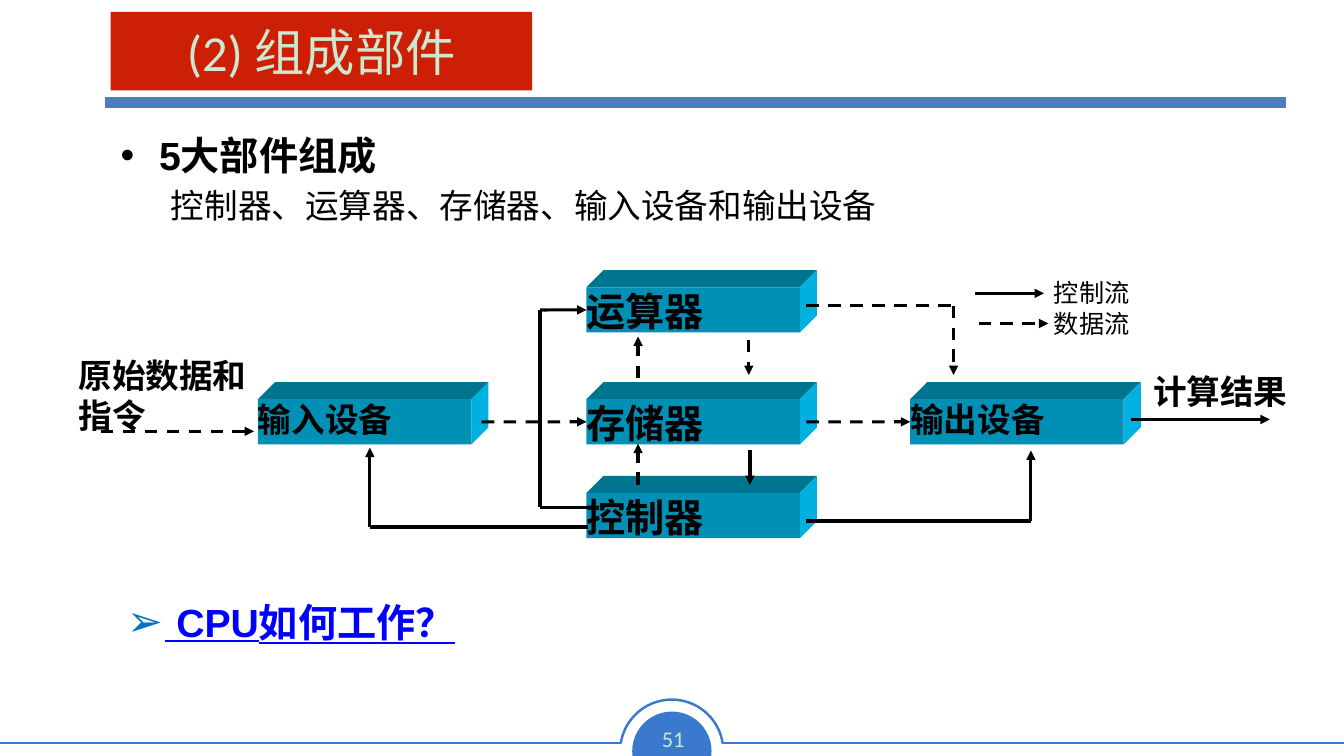
from dataclasses import dataclass
from typing import Optional

import pptx
import pptx.dml.color
import pptx.enum.dml
import pptx.enum.shapes
import pptx.enum.text
import pptx.oxml
import pptx.oxml.ns
import pptx.util
from pptx.util import Cm

SHAPE = pptx.enum.shapes.MSO_SHAPE
ALIGN = pptx.enum.text.PP_ALIGN
ANCHOR = pptx.enum.text.MSO_ANCHOR
BLACK, PALE, BLUE = "000000", "CCE8CF", "3B79CE"
FRONT, TOP, SIDE = "008FB5", "00758F", "00B0E0"
BOX_WIDTH, BOX_HEIGHT, BOX_DEPTH = 5.38, 1.14, 0.43


@dataclass
class Unit:
    name: str
    left: float
    top: float
    size: int = 28


@dataclass
class Flow:
    x1: float
    y1: float
    x2: float
    y2: float
    dashed: bool = False
    arrow: bool = True
    target: Optional[str] = None  # unit whose left side the flow enters


@dataclass
class Label:
    text: str
    left: float
    top: float
    width: float
    height: float
    size: int = 24
    bold: bool = True
    font: str = "Times New Roman"
    inset: tuple[float, float] = (0, 0)


COLUMN = 14.78
MIDDLE_ROW = 10.06
MIDDLE_Y = MIDDLE_ROW + BOX_HEIGHT / 2
ARITHMETIC_Y = 7.24 + BOX_HEIGHT / 2
UNITS = [
    Unit("运算器", COLUMN, 7.24),
    Unit("存储器", COLUMN, MIDDLE_ROW),
    Unit("控制器", COLUMN, 12.42),
    Unit("输出设备", 22.94, MIDDLE_ROW, 24),
    Unit("输入设备", 6.5, MIDDLE_ROW, 24),
]
FLOWS = [
    Flow(16.08, 9.53, 16.08, 8.48, dashed=True),
    Flow(18.87, 8.56, 18.87, 9.45, dashed=True),
    Flow(14.83, 13.28, 9.32, 13.28, arrow=False),
    Flow(9.32, 13.28, 9.32, 11.28),
    Flow(20.32, 13.13, 25.98, 13.13, arrow=False),
    Flow(25.98, 13.13, 25.98, 11.35),
    Flow(14.83, 12.78, 13.61, 12.78, arrow=False),
    Flow(13.61, 12.78, 13.61, ARITHMETIC_Y, arrow=False),
    Flow(13.61, ARITHMETIC_Y, COLUMN, ARITHMETIC_Y, target="运算器"),
    Flow(16.08, 12.22, 16.08, 11.18, dashed=True),
    Flow(18.9, 11.33, 18.9, 12.22),
    Flow(12.14, MIDDLE_Y, COLUMN, MIDDLE_Y, dashed=True, target="存储器"),
    Flow(20.32, MIDDLE_Y, 22.94, MIDDLE_Y, dashed=True, target="输出设备"),
    Flow(2.54, 10.87, 6.4, 10.87, dashed=True),
    Flow(28.5, 10.57, 32, 10.57),
    Flow(20.32, 7.7, 24.03, 7.7, dashed=True, arrow=False),
    Flow(24.03, 7.7, 24.03, 9.45, dashed=True),
    Flow(24.66, 8.15, 26.42, 8.15, dashed=True),
    Flow(24.56, 7.39, 26.31, 7.39),
]
LABELS = [
    Label("计算结果", 29.06, 9.35, 4.8, 0.81),
    Label("原始数据和指令", 1.98, 8.94, 4.6, 1.42),
    Label("控制流", 26.31, 6.86, 3.2, 1.02, 18, False, "Calibri", (0.25, 0.13)),
    Label("数据流", 26.31, 7.65, 3.2, 1.02, 18, False, "Calibri", (0.25, 0.13)),
]


def rgb(colour: str):
    return pptx.dml.color.RGBColor.from_string(colour)


def paint(shape, colour: str):
    """Flat fill with no outline and no shadow."""
    shape.fill.solid()
    shape.fill.fore_color.rgb = rgb(colour)
    shape.line.fill.background()
    shape.shadow.inherit = False


def xml(text: str):
    return pptx.oxml.parse_xml(text.replace("/>", f" {pptx.oxml.ns.nsdecls('a')}/>", 1)
                               if text.endswith("/>") and text.count("<") == 1
                               else text.replace(">", f" {pptx.oxml.ns.nsdecls('a')}>", 1))


def write(shape, text: str, *, size: float, colour: str = BLACK, font: str = "Arial",
          bold: bool = False, underline: bool = False, align=ALIGN.LEFT, anchor=ANCHOR.TOP,
          inset: tuple[float, float] = (0.25, 0.13), wrap: bool = True, before: float = 0,
          indent: Optional[tuple[float, float]] = None, bullet: str = "", bullet_xml: str = "",
          add: bool = False):
    """Fill the shape's first paragraph, or a further one when add is set."""
    frame = shape.text_frame
    frame.auto_size = pptx.enum.text.MSO_AUTO_SIZE.NONE
    frame.word_wrap, frame.vertical_anchor = wrap, anchor
    frame.margin_left = frame.margin_right = Cm(inset[0])
    frame.margin_top = frame.margin_bottom = Cm(inset[1])
    paragraph = frame.add_paragraph() if add else frame.paragraphs[0]
    paragraph.alignment = align
    paragraph.space_before = pptx.util.Pt(before)
    properties = paragraph._p.get_or_add_pPr()
    if indent:
        properties.set("marL", str(Cm(indent[0])))
        properties.set("indent", str(Cm(indent[1])))
    if bullet_xml:
        for element in xml(f"<a:pPr>{bullet_xml}</a:pPr>"):
            properties.append(element)
    if bullet:
        properties.append(xml('<a:buFont typeface="Arial"/>'))
        properties.append(xml(f'<a:buChar char="{bullet}"/>'))
    run = paragraph.add_run()
    run.text = text
    run.font.size, run.font.name = pptx.util.Pt(size), font
    run.font.bold, run.font.underline = bold, underline
    run.font.color.rgb = rgb(colour)


def add_text_box(slide, left: float, top: float, width: float, height: float):
    return slide.shapes.add_textbox(Cm(left), Cm(top), Cm(width), Cm(height))


def add_line(slide, x1: float, y1: float, x2: float, y2: float, colour: str, width: float):
    line = slide.shapes.add_connector(pptx.enum.shapes.MSO_CONNECTOR.STRAIGHT,
                                      Cm(x1), Cm(y1), Cm(x2), Cm(y2))
    line.line.color.rgb = rgb(colour)
    line.line.width = pptx.util.Pt(width)
    line._element.spPr.append(xml("<a:effectLst/>"))
    return line


def add_flow(slide, flow: Flow, fronts: dict):
    line = add_line(slide, flow.x1, flow.y1, flow.x2, flow.y2, BLACK, 2.25)
    if flow.dashed:
        line.line.dash_style = pptx.enum.dml.MSO_LINE.DASH
    if flow.arrow:
        line.line._get_or_add_ln().append(xml('<a:tailEnd type="triangle"/>'))
    if flow.target:
        line.end_connect(fronts[flow.target], 1)


def add_unit(slide, unit: Unit):
    """Block with a lit top and side; returns its front face."""
    left, top, depth = unit.left, unit.top, BOX_DEPTH
    right, bottom = left + BOX_WIDTH, top + BOX_HEIGHT
    faces = [
        (TOP, [(left, top), (left + depth, top - depth), (right + depth, top - depth), (right, top)]),
        (SIDE, [(right, top), (right + depth, top - depth), (right + depth, bottom - depth), (right, bottom)]),
    ]
    for colour, points in faces:
        corners = [(Cm(x), Cm(y)) for x, y in points]
        builder = slide.shapes.build_freeform(*corners[0])
        builder.add_line_segments(corners[1:], close=True)
        paint(builder.convert_to_shape(), colour)
    front = slide.shapes.add_shape(SHAPE.RECTANGLE, Cm(left), Cm(top), Cm(BOX_WIDTH), Cm(BOX_HEIGHT))
    paint(front, FRONT)
    write(front, unit.name, size=unit.size, font="Times New Roman", bold=True, inset=(0, 0))
    return front


def add_title(slide):
    title = slide.shapes.title
    title.left, title.top, title.width, title.height = Cm(2.79), Cm(0.3), Cm(10.62), Cm(1.98)
    title._element.spPr.append(xml(
        '<a:prstGeom prst="round2DiagRect"><a:avLst><a:gd name="adj1" fmla="val 20900"/>'
        '<a:gd name="adj2" fmla="val 0"/></a:avLst></a:prstGeom>'))
    title.fill.solid()
    title.fill.fore_color.rgb = rgb("CD1F06")
    write(title, "(2) 组成部件", size=36, colour=PALE, font="Calibri",
          align=ALIGN.CENTER, anchor=ANCHOR.MIDDLE)


def add_footer(slide):
    chord = slide.shapes.add_shape(SHAPE.CHORD, Cm(15.93), Cm(17.93), Cm(2), Cm(2))
    chord.adjustments[0], chord.adjustments[1] = 35.77, 153.29
    chord.rotation = 112.4
    paint(chord, BLUE)
    for start, end in ((18.21, 33.87), (0, 15.65)):
        add_line(slide, start, 18.72, end, 18.72, BLUE, 1.77)
    arc = slide.shapes.add_shape(SHAPE.ARC, Cm(15.63), Cm(17.63), Cm(2.6), Cm(2.6))
    arc.adjustments[0], arc.adjustments[1] = 113.17, 210.98
    arc.fill.background()
    arc.line.color.rgb = rgb(BLUE)
    arc.line.width = pptx.util.Pt(1.77)
    arc.shadow.inherit = False
    write(add_text_box(slide, 16.38, 18.14, 1.17, 0.94), "51", size=16, colour=PALE,
          font="Calibri", align=ALIGN.CENTER, wrap=False)


def main():
    presentation = pptx.Presentation()
    presentation.slide_width, presentation.slide_height = Cm(33.87), Cm(19.05)
    slide = presentation.slides.add_slide(presentation.slide_layouts[5])
    add_footer(slide)
    add_line(slide, 2.64, 2.59, 32.41, 2.59, "4B7EBC", 8)
    add_title(slide)

    body = add_text_box(slide, 2.79, 3.18, 30.76, 3.02)
    write(body, "5大部件组成", size=28, bold=True, indent=(0.97, -0.97), bullet="•")
    write(body, "控制器、运算器、存储器、输入设备和输出设备", size=24, before=4.8,
          indent=(2.06, -0.79), add=True)
    write(add_text_box(slide, 2.95, 14.94, 11.28, 1.91), " CPU如何工作？", size=28,
          colour="0000FF", bold=True, underline=True, align=ALIGN.JUSTIFY,
          indent=(0.97, -0.97), bullet="➢",
          bullet_xml='<a:buClr><a:srgbClr val="0070C0"/></a:buClr><a:buSzPct val="110000"/>')

    fronts = {unit.name: add_unit(slide, unit) for unit in UNITS}
    for flow in FLOWS:
        add_flow(slide, flow, fronts)
    for label in LABELS:
        box = add_text_box(slide, label.left, label.top, label.width, label.height)
        write(box, label.text, size=label.size, font=label.font, bold=label.bold, inset=label.inset)
    presentation.save("out.pptx")


if __name__ == "__main__":
    main()
